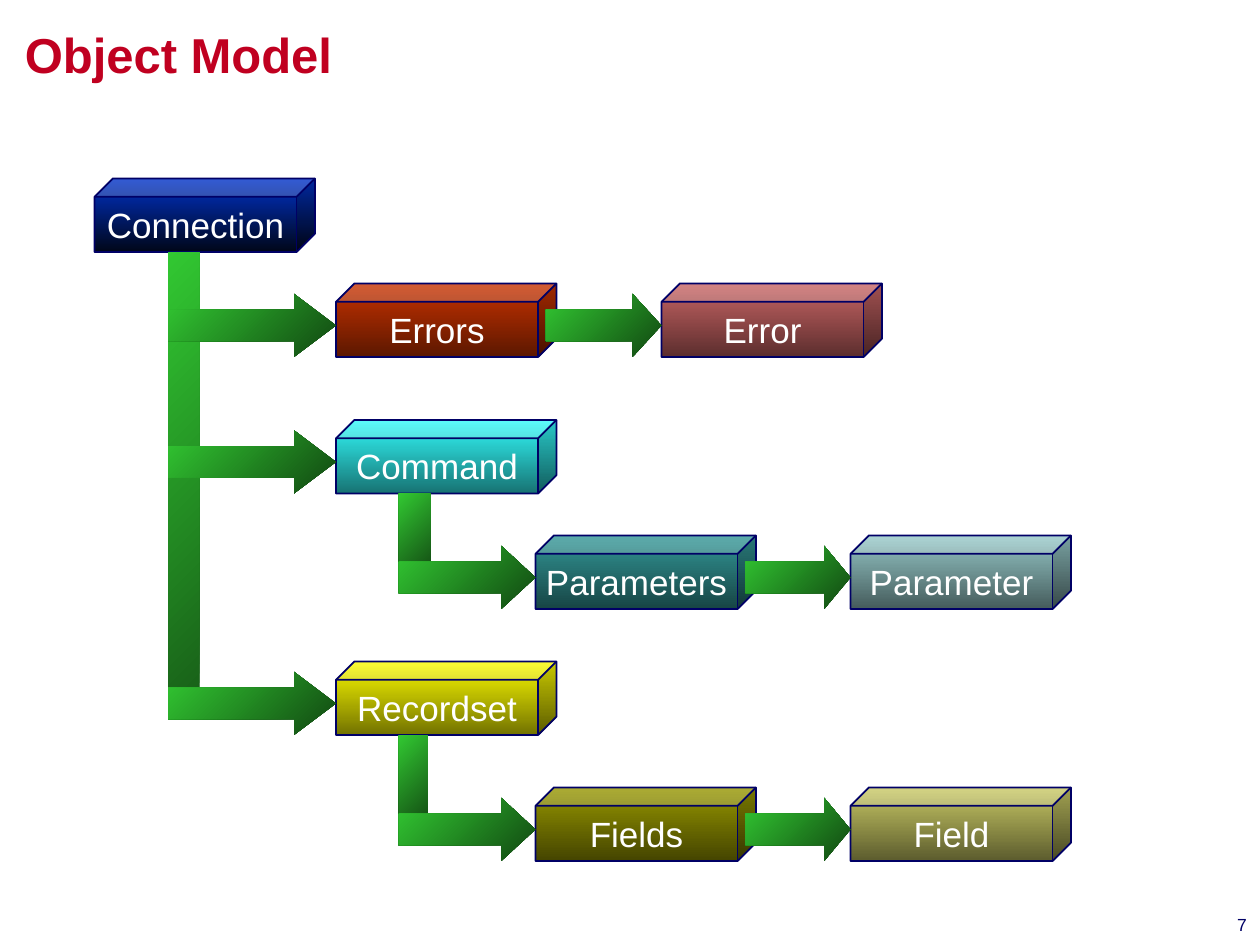
from pptx import Presentation
from pptx.dml.color import RGBColor
from pptx.enum.shapes import MSO_SHAPE
from pptx.enum.text import MSO_ANCHOR, PP_ALIGN
from pptx.util import Emu, Pt

CUBE, ARROW, BAR = MSO_SHAPE.CUBE, MSO_SHAPE.RIGHT_ARROW, MSO_SHAPE.RECTANGLE
TOP, MIDDLE = MSO_ANCHOR.TOP, MSO_ANCHOR.MIDDLE
LEFT, CENTER, RIGHT = PP_ALIGN.LEFT, PP_ALIGN.CENTER, PP_ALIGN.RIGHT

EMU_PER_PX = 9525
FONT = "Arial"
WHITE = RGBColor(0xFF, 0xFF, 0xFF)
NAVY = RGBColor(0x00, 0x00, 0x66)
CRIMSON = RGBColor(0xC0, 0x00, 0x20)
GREEN = RGBColor(0x32, 0xC8, 0x32)
ARROW_GREEN = RGBColor(0x11, 0x47, 0x11)
TRUNK_GREEN = RGBColor(0x17, 0x5C, 0x17)
STEM_GREEN = RGBColor(0x0D, 0x34, 0x0D)

DOWNWARD, TO_TOP_LEFT = 270, 135
CUBE_WIDTH, CUBE_HEIGHT = 168, 56
ARROW_HEIGHT, ARROW_DROP = 48, 8

CUBES = [
    ("Connection", 72, 136, RGBColor(0x00, 0x32, 0xC8), RGBColor(0x00, 0x06, 0x19)),
    ("Errors", 256, 216, RGBColor(0xC8, 0x32, 0x00), RGBColor(0x5C, 0x17, 0x00)),
    ("Error", 504, 216, RGBColor(0xC8, 0x64, 0x64), RGBColor(0x5C, 0x2E, 0x2E)),
    ("Command", 256, 320, RGBColor(0x32, 0xFA, 0xFA), RGBColor(0x17, 0x73, 0x73)),
    ("Parameters", 408, 408, RGBColor(0x32, 0x96, 0x96), RGBColor(0x17, 0x45, 0x45)),
    ("Parameter", 648, 408, RGBColor(0x96, 0xC8, 0xC8), RGBColor(0x45, 0x5C, 0x5C)),
    ("Recordset", 256, 504, RGBColor(0xFA, 0xFA, 0x00), RGBColor(0x73, 0x73, 0x00)),
    ("Fields", 408, 600, RGBColor(0x96, 0x96, 0x00), RGBColor(0x45, 0x45, 0x00)),
    ("Field", 648, 600, RGBColor(0xC8, 0xC8, 0x64), RGBColor(0x5C, 0x5C, 0x2E)),
]
PLURAL_LINKS = [("Errors", "Error"), ("Parameters", "Parameter"), ("Fields", "Field")]
BRANCHES = [
    ("Connection", ["Errors", "Command", "Recordset"], 56, 24, TRUNK_GREEN),
    ("Command", ["Parameters"], 48, 24, STEM_GREEN),
    ("Recordset", ["Fields"], 48, 22, STEM_GREEN),
]


def px(*lengths):
    """Turn pixel lengths into EMU."""
    return [Emu(length * EMU_PER_PX) for length in lengths]


def write(shape, text, size, color, alignment, anchor, bold=False):
    """Put one formatted line of text into a shape."""
    frame = shape.text_frame
    frame.text = text
    frame.vertical_anchor = anchor
    paragraph = frame.paragraphs[0]
    paragraph.alignment = alignment
    font = paragraph.runs[0].font
    font.name, font.size, font.bold = FONT, Pt(size), bold
    font.color.rgb = color


def add_label(slide, box, insets, text, size, color, alignment, bold=False):
    """Add a text box with insets given as left, top, right, bottom."""
    shape = slide.shapes.add_textbox(*px(*box))
    frame = shape.text_frame
    frame.word_wrap = True
    (frame.margin_left, frame.margin_top,
     frame.margin_right, frame.margin_bottom) = px(*insets)
    write(shape, text, size, color, alignment, TOP, bold)


def add_gradient_shape(slide, kind, box, start, end, angle):
    """Add a borderless shape with a two-colour linear gradient."""
    shape = slide.shapes.add_shape(kind, *px(*box))
    shape.shadow.inherit = False
    shape.line.fill.background()
    shape.fill.gradient()
    shape.fill.gradient_angle = angle
    for stop, color in zip(shape.fill.gradient_stops, (start, end)):
        stop.color.rgb = color
    for position, stop in enumerate(shape.fill.gradient_stops):
        stop.position = position
    return shape


def add_cube(slide, box, name, light, dark):
    """Add an outlined cube that names one object."""
    cube = add_gradient_shape(slide, CUBE, box, light, dark, DOWNWARD)
    cube.adjustments[0] = 0.25
    cube.line.color.rgb = NAVY
    cube.line.width = Pt(1)
    write(cube, name, 20, WHITE, CENTER, MIDDLE)
    cube.text_frame.word_wrap = False


def add_arrow(slide, left, target):
    """Add an arrow from a left edge to the cube at the target box."""
    width = target[0] - left
    box = (left, target[1] + ARROW_DROP, width, ARROW_HEIGHT)
    arrow = add_gradient_shape(slide, ARROW, box, ARROW_GREEN, GREEN, TO_TOP_LEFT)
    arrow.adjustments[0] = 0.5
    arrow.adjustments[1] = width / 4 / ARROW_HEIGHT


def add_branch(slide, parent, children, offset, bar_width, dark):
    """Add a bar below the parent box with an arrow to each child box."""
    left, top = parent[0] + offset, parent[1] + CUBE_HEIGHT
    bottom = children[-1][1] + ARROW_DROP + ARROW_HEIGHT * 3 // 4
    bar_box = (left, top, bar_width, bottom - top)
    add_gradient_shape(slide, BAR, bar_box, dark, GREEN, TO_TOP_LEFT)
    for child in children:
        add_arrow(slide, left, child)


def add_object_model(slide):
    """Draw the cubes and the arrows between them."""
    boxes = {}
    for name, left, top, light, dark in CUBES:
        boxes[name] = (left, top, CUBE_WIDTH, CUBE_HEIGHT)
        add_cube(slide, boxes[name], name, light, dark)
    for plural, single in PLURAL_LINKS:
        add_arrow(slide, boxes[plural][0] + CUBE_WIDTH - 8, boxes[single])
    for parent, children, offset, bar_width, dark in BRANCHES:
        child_boxes = [boxes[child] for child in children]
        add_branch(slide, boxes[parent], child_boxes, offset, bar_width, dark)


def main():
    """Build and save the slide."""
    presentation = Presentation()
    presentation.slide_width, presentation.slide_height = px(960, 720)
    slide = presentation.slides.add_slide(presentation.slide_layouts[6])
    add_label(slide, (614, 691, 336, 16), (0, 5, 0, 5), "7", 10, NAVY, RIGHT)
    add_label(slide, (0, 0, 960, 96), (19, 19, 189, 13),
              "Object Model", 28, CRIMSON, LEFT, bold=True)
    add_object_model(slide)
    presentation.save("out.pptx")


if __name__ == "__main__":
    main()
